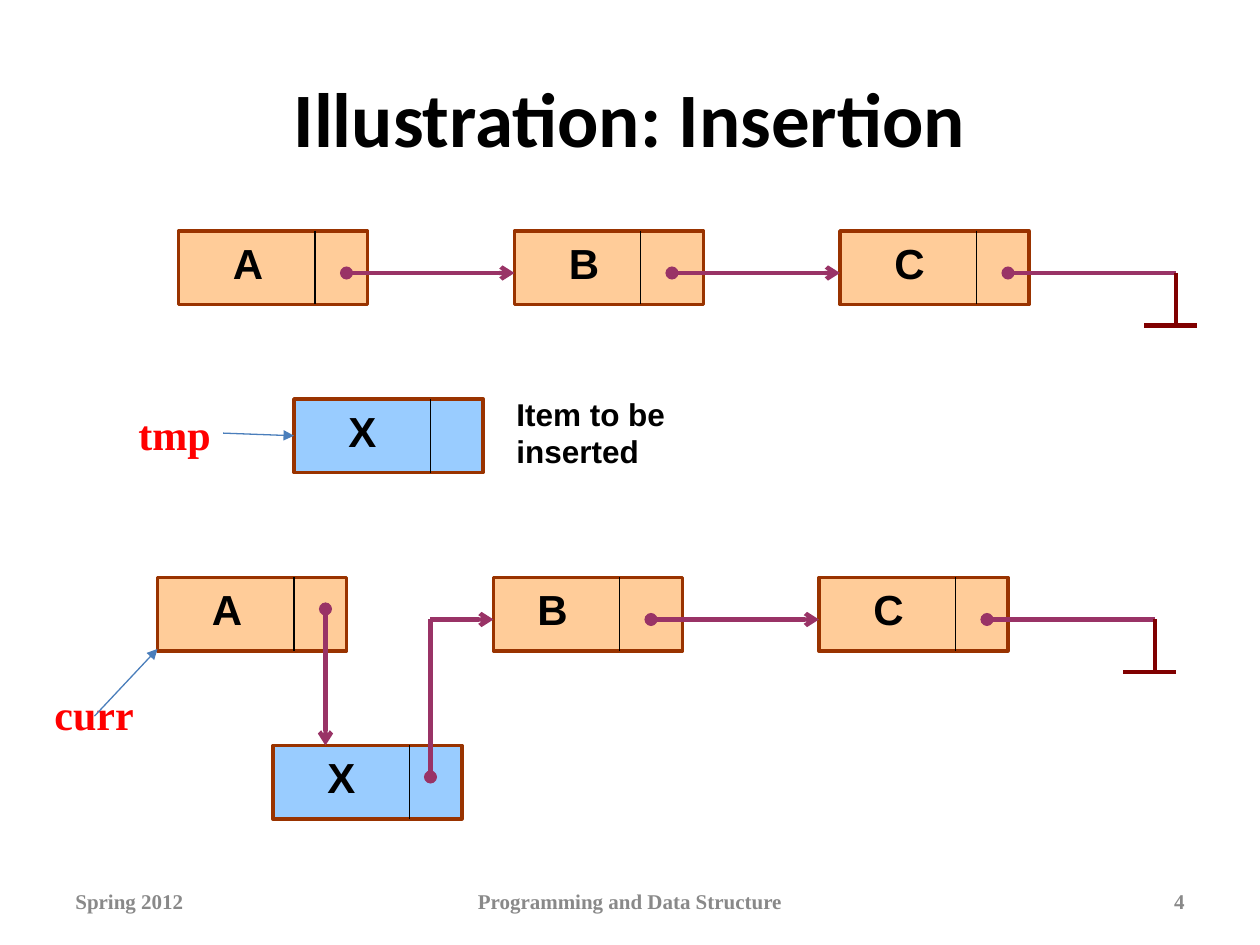
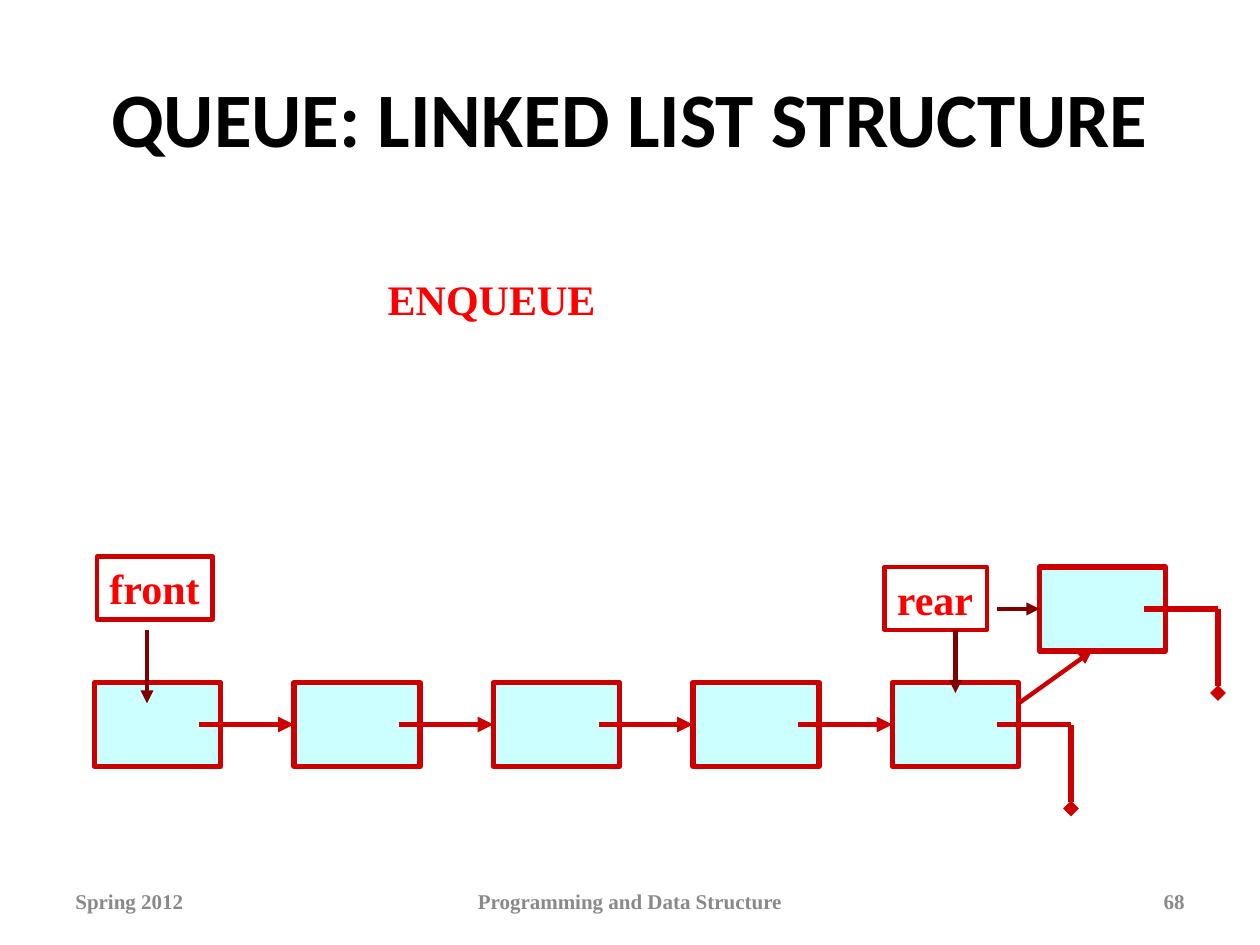
from lxml import etree
from pptx import Presentation
from pptx.dml.color import RGBColor
from pptx.enum.shapes import MSO_CONNECTOR, MSO_SHAPE
from pptx.enum.text import MSO_ANCHOR, PP_ALIGN
from pptx.oxml.ns import qn
from pptx.util import Inches, Pt

RECTANGLE = MSO_SHAPE.RECTANGLE
STRAIGHT = MSO_CONNECTOR.STRAIGHT
LEFT, CENTER, RIGHT = PP_ALIGN.LEFT, PP_ALIGN.CENTER, PP_ALIGN.RIGHT
TOP, MIDDLE = MSO_ANCHOR.TOP, MSO_ANCHOR.MIDDLE

BLACK = RGBColor(0x00, 0x00, 0x00)
GRAY = RGBColor(0x89, 0x89, 0x89)
RED = RGBColor(0xFF, 0x00, 0x00)
CRIMSON = RGBColor(0xCC, 0x00, 0x00)
MAROON = RGBColor(0x80, 0x00, 0x00)
PLUM = RGBColor(0x99, 0x33, 0x66)
BROWN = RGBColor(0x99, 0x33, 0x00)
STEEL = RGBColor(0x4A, 0x7E, 0xBB)
PEACH = RGBColor(0xFF, 0xCC, 0x99)
SKY = RGBColor(0x99, 0xCC, 0xFF)
ICE = RGBColor(0xCC, 0xFF, 0xFF)

SANS, SERIF, TITLE_FONT = "Arial", "Times New Roman", "Calibri"

# The slide is a grid of 120 columns by 90 rows
WIDTH, HEIGHT = Inches(10), Inches(7.5)
COLUMN, ROW = WIDTH / 120, HEIGHT / 90

LIST_NODE = (18, 7)
QUEUE_NODE = (12, 8)


class Painter:
    """Draws styled elements on the current slide, in grid units."""

    def __init__(self):
        self.deck = Presentation()
        self.deck.slide_width, self.deck.slide_height = WIDTH, HEIGHT
        self.page = None

    def start_page(self, title, number):
        self.page = self.deck.slides.add_slide(self.deck.slide_layouts[6])
        self.text(title, (6, 3.6, 108, 15), TITLE_FONT, 44,
                  align=CENTER, anchor=MIDDLE)
        footers = [("Spring 2012", 6, 28, LEFT),
                   ("Programming and Data Structure", 41, 38, CENTER),
                   (number, 86, 28, RIGHT)]
        for words, column, width, align in footers:
            self.text(words, (column, 83.4, width, 4.8), SERIF, 12, GRAY,
                      align, MIDDLE)

    def place(self, area):
        column, row, width, height = area
        return (round(column * COLUMN), round(row * ROW),
                round(width * COLUMN), round(height * ROW))

    def fill_text(self, box, words, font, size, color, align, anchor, wrap):
        frame = box.text_frame
        frame.word_wrap = wrap
        frame.vertical_anchor = anchor
        paragraph = frame.paragraphs[0]
        paragraph.text = words
        paragraph.alignment = align
        style = paragraph.font
        style.name, style.size, style.bold = font, Pt(size), True
        style.color.rgb = color

    def text(self, words, area, font=SANS, size=24, color=BLACK,
             align=LEFT, anchor=TOP, wrap=True):
        box = self.page.shapes.add_textbox(*self.place(area))
        self.fill_text(box, words, font, size, color, align, anchor, wrap)

    def pointer_name(self, words, area):
        self.text(words, area, SERIF, color=RED, wrap=False)

    def rectangle(self, area, fill, border, weight):
        box = self.page.shapes.add_shape(RECTANGLE, *self.place(area))
        box.shadow.inherit = False
        if fill is None:
            box.fill.background()
        else:
            box.fill.solid()
            box.fill.fore_color.rgb = fill
        box.line.color.rgb = border
        box.line.width = Pt(weight)
        return box

    def tag(self, words, area):
        box = self.rectangle(area, None, CRIMSON, 2.5)
        self.fill_text(box, words, SERIF, 24, RED, LEFT, TOP, False)

    def line(self, start, end, color=PLUM, weight=2.5, head=None, tail=None):
        points = self.place((*start, *end))
        connector = self.page.shapes.add_connector(STRAIGHT, *points)
        connector.line.color.rgb = color
        connector.line.width = Pt(weight)
        properties = connector._element.spPr
        outline = properties.get_or_add_ln()
        for end_name, kind in (("a:headEnd", head), ("a:tailEnd", tail)):
            if kind:
                etree.SubElement(outline, qn(end_name), type=kind)
        etree.SubElement(properties, qn("a:effectLst"))

    def list_node(self, name, column, row, fill=PEACH, divider=13, indent=4):
        width, height = LIST_NODE
        self.rectangle((column, row, width, height), fill, BROWN, 2)
        self.line((column + divider, row), (column + divider, row + height),
                  BLACK, 0.75)
        self.text(name, (column + indent, row, 8, 6))

    def list_link(self, column, row, tail="arrow"):
        self.line((column, row), (column + 16, row), head="oval", tail=tail)

    def list_end(self, column, row):
        """Link from the last node down to the ground symbol."""
        self.list_link(column, row, tail=None)
        stem = column + 16
        self.line((stem, row), (stem, row + 5), MAROON)
        self.line((stem - 3, row + 5), (stem + 2, row + 5), MAROON)

    def queue_node(self, column, row):
        self.rectangle((column, row, *QUEUE_NODE), ICE, CRIMSON, 3)

    def queue_end(self, column, row):
        """Link from the last node down to a diamond."""
        corner = (column + 17, row + 4)
        self.line((column + 10, row + 4), corner, CRIMSON, 3)
        self.line(corner, (column + 17, row + 12), CRIMSON, 3, tail="diamond")


def draw_insertion(painter):
    painter.start_page("Illustration: Insertion", "4")

    # List before the insertion
    painter.list_node("A", 17, 22)
    painter.list_node("B", 49, 22, divider=12)
    painter.list_node("C", 80, 22)
    painter.list_link(33, 26)
    painter.list_link(64, 26)
    painter.list_end(96, 26)

    # New item
    painter.list_node("X", 28, 38, SKY)
    painter.text("Item to be inserted", (48, 37, 22, 8.4), size=18)
    painter.pointer_name("tmp", (12, 38.3, 9.25, 6))
    painter.line((21.25, 41.25), (28, 41.5), STEEL, 0.75, tail="triangle")

    # List after the insertion
    painter.list_node("A", 15, 55)
    painter.list_node("X", 26, 71, SKY)
    painter.list_node("B", 47, 55, divider=12, indent=3)
    painter.list_node("C", 78, 55)
    painter.line((31, 58), (31, 71), head="oval", tail="arrow")
    painter.line((41, 74), (41, 59), head="oval")
    painter.line((41, 59), (47, 59), tail="arrow")
    painter.list_link(62, 59)
    painter.list_end(94, 59)
    painter.pointer_name("curr", (4, 65, 10, 6))
    painter.line((9, 68.2), (15, 61.8), STEEL, 0.75, tail="triangle")


def draw_queue(painter):
    painter.start_page("QUEUE: LINKED LIST STRUCTURE", "68")
    painter.pointer_name("ENQUEUE", (35.75, 25.5, 22.25, 6))

    # Queue of five linked nodes
    first, step, count, row = 9, 19, 5, 65
    columns = [first + step * index for index in range(count)]
    for column in columns:
        painter.queue_node(column, row)
    for column in columns[:-1]:
        painter.line((column + 10, row + 4), (column + step, row + 4),
                     CRIMSON, 3, tail="triangle")
    painter.queue_end(columns[-1], row)

    # Node joining at the rear
    painter.queue_node(99, 54)
    painter.queue_end(99, 54)
    painter.line((97, 67), (104, 62), CRIMSON, tail="triangle")

    # Front and rear pointers
    painter.tag("front", (9.25, 53, 11, 6))
    painter.tag("rear", (84.25, 54, 9.75, 6))
    for start, end in [((14, 60), (14, 67)),
                       ((91, 60), (91, 66)),
                       ((95, 58), (99, 58))]:
        painter.line(start, end, MAROON, tail="triangle")


def main():
    painter = Painter()
    draw_insertion(painter)
    draw_queue(painter)
    painter.deck.save("out.pptx")


if __name__ == "__main__":
    main()
